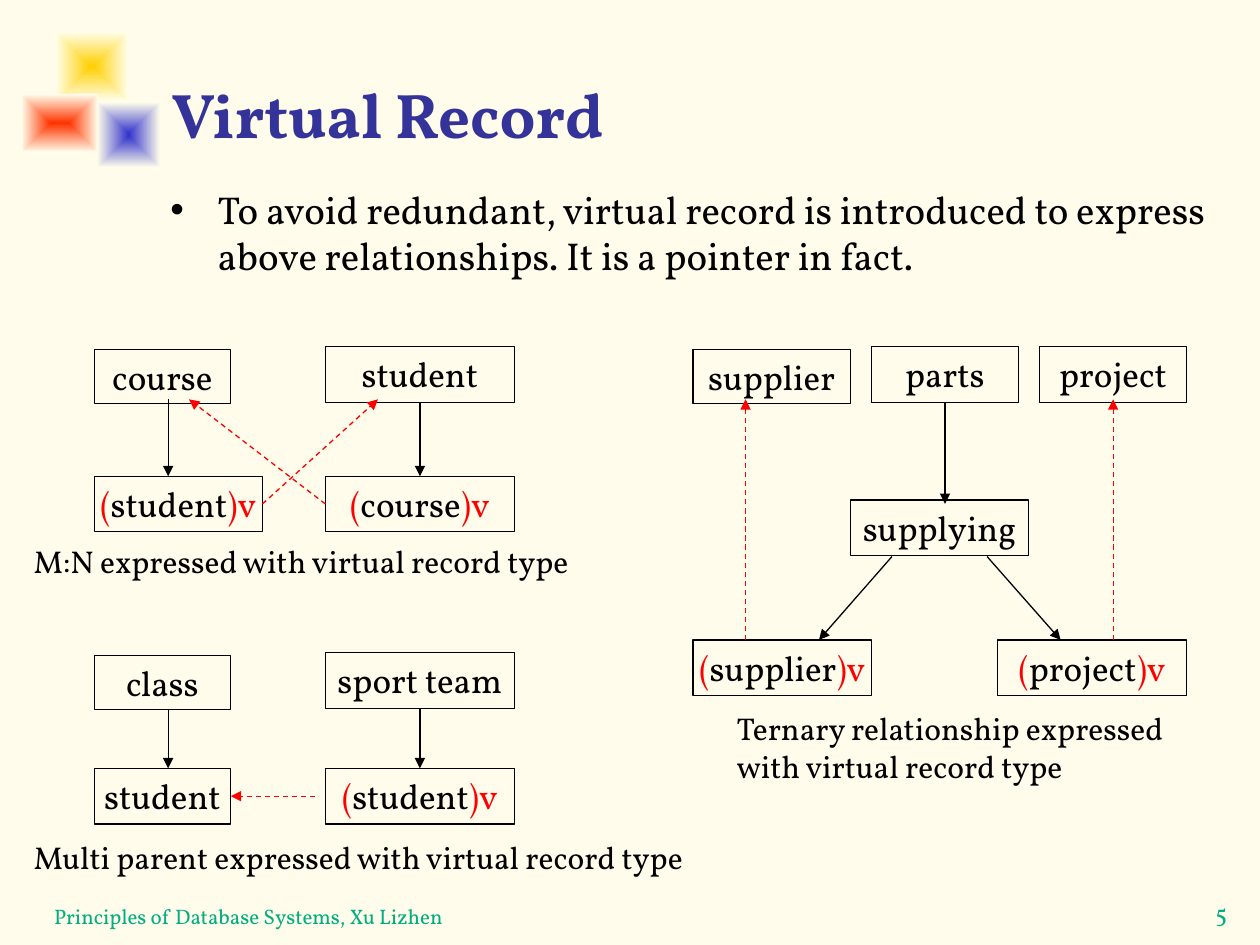
from lxml.etree import SubElement
from pptx import Presentation
from pptx.dml.color import RGBColor
from pptx.enum.dml import MSO_LINE
from pptx.enum.shapes import MSO_CONNECTOR, MSO_SHAPE
from pptx.enum.text import MSO_ANCHOR as Anchor, MSO_AUTO_SIZE, PP_ALIGN as Align
from pptx.oxml.ns import qn
from pptx.util import Cm, Pt

COLORS = {
    "paper": "FFFCEB", "fade": "FFFEEB", "yellow": "FFCF01", "blue": "3333CC",
    "orange": "FF3300", "title": "333399", "green": "00AE80",
    "black": "000000", "red": "FF0000",
}
FONT = "Vollkorn"
TOP, LEFT, BOTTOM, RIGHT = 0, 1, 2, 3


def color(name):
    return RGBColor.from_string(COLORS[name])


class SlideBuilder:
    def __init__(self, presentation):
        self.slide = presentation.slides.add_slide(presentation.slide_layouts[1])
        background = self.slide.background.fill
        background.solid()
        background.fore_color.rgb = color("paper")

    def style_run(self, run, size, name, bold=False):
        run.font.name = FONT
        run.font.size = Pt(size)
        run.font.bold = bold
        run.font.color.rgb = color(name)

    def place(self, shape, left, top, width, height):
        shape.left, shape.top = Cm(left), Cm(top)
        shape.width, shape.height = Cm(width), Cm(height)

    def set_text(self, shape, text, size, name, align=Align.LEFT, anchor=Anchor.TOP, bold=False):
        frame = shape.text_frame
        frame.text = text
        frame.word_wrap = True
        frame.auto_size = MSO_AUTO_SIZE.NONE
        frame.vertical_anchor = anchor
        paragraph = frame.paragraphs[0]
        paragraph.alignment = align
        paragraph.space_before = Pt(0)
        self.style_run(paragraph.runs[0], size, name, bold)

    def title(self, text, *box):
        shape = self.slide.shapes.title
        self.place(shape, *box)
        self.set_text(shape, text, 36, "title", anchor=Anchor.BOTTOM, bold=True)

    def body(self, text, *box):
        shape = self.slide.placeholders[1]
        self.place(shape, *box)
        properties = shape.text_frame.paragraphs[0]._p.get_or_add_pPr()
        indent = Cm(0.96)
        properties.set("marL", str(indent))
        properties.set("indent", str(-indent))
        bullet_color = SubElement(properties, qn("a:buClr"))
        SubElement(bullet_color, qn("a:srgbClr"), val=COLORS["blue"])
        SubElement(properties, qn("a:buSzPct"), val="60000")
        SubElement(properties, qn("a:buChar"), char="■")
        self.set_text(shape, text, 22.2, "black")

    def label(self, text, box, size=18, name="black", **options):
        shape = self.slide.shapes.add_textbox(*map(Cm, box))
        self.set_text(shape, text, size, name, **options)

    def rectangle(self, box):
        shape = self.slide.shapes.add_shape(MSO_SHAPE.RECTANGLE, *map(Cm, box))
        shape.shadow.inherit = False
        return shape

    def glow(self, name, *box):
        shape = self.rectangle(box)
        shape.line.fill.background()
        shape.fill.gradient()
        for stop, stop_color in zip(shape.fill.gradient_stops, (name, "fade")):
            stop.color.rgb = color(stop_color)
        gradient = shape._element.spPr.find(qn("a:gradFill"))
        gradient.remove(gradient.find(qn("a:lin")))
        shading = SubElement(gradient, qn("a:path"), {"path": "rect"})
        SubElement(shading, qn("a:fillToRect"), l="50000", t="50000", r="50000", b="50000")

    def record(self, text, left, top, width, height=1.12, virtual=False):
        shape = self.rectangle((left, top, width, height))
        shape.fill.background()
        shape.line.color.rgb = color("black")
        shape.line.width = Pt(0.75)
        frame = shape.text_frame
        frame.margin_left = frame.margin_right = Cm(0.05)
        if not virtual:
            self.set_text(shape, text, 20, "black", Align.CENTER)
            return shape
        self.set_text(shape, "(", 20, "red", Align.CENTER)
        for part, name in ((text, "black"), (")v", "red")):
            run = frame.paragraphs[0].add_run()
            run.text = part
            self.style_run(run, 20, name)
        return shape

    def arrow(self, start, end, pointer=False, begin=None, finish=None):
        connector = self.slide.shapes.add_connector(
            MSO_CONNECTOR.STRAIGHT, *map(Cm, start + end))
        if begin:
            connector.begin_connect(*begin)
        if finish:
            connector.end_connect(*finish)
        connector.line.color.rgb = color("red" if pointer else "black")
        connector.line.width = Pt(0.75)
        if pointer:
            connector.line.dash_style = MSO_LINE.DASH
        properties = connector._element.spPr
        SubElement(properties.find(qn("a:ln")), qn("a:tailEnd"), type="triangle")
        SubElement(properties, qn("a:effectLst"))


def draw_many_to_many(builder):
    builder.label("M:N expressed with virtual record type", (0.43, 10.8, 11.86, 1.78))
    builder.record("course", 1.9, 7.04, 2.75, 1.09)
    student = builder.record("student", 6.56, 6.99, 3.81)
    virtual_student = builder.record("student", 1.9, 9.6, 3.39, virtual=True)
    virtual_course = builder.record("course", 6.56, 9.6, 3.81, virtual=True)
    builder.arrow((3.39, 8.05), (3.39, 9.6))
    builder.arrow((8.46, 8.11), (8.46, 9.6),
                  begin=(student, BOTTOM), finish=(virtual_course, TOP))
    builder.arrow((6.56, 10.16), (3.81, 8.05), True, begin=(virtual_course, LEFT))
    builder.arrow((5.29, 10.16), (7.62, 8.05), True, begin=(virtual_student, RIGHT))


def draw_multi_parent(builder):
    builder.label("Multi parent expressed with virtual record type", (0.43, 16.76, 13.97, 1.78))
    builder.record("class", 1.9, 13.21, 2.75, 1.09)
    team = builder.record("sport team", 6.56, 13.16, 3.81)
    student = builder.record("student", 1.9, 15.49, 2.75)
    virtual_student = builder.record("student", 6.56, 15.49, 3.81, virtual=True)
    builder.arrow((3.39, 14.3), (3.39, 15.49))
    builder.arrow((8.46, 14.28), (8.46, 15.49),
                  begin=(team, BOTTOM), finish=(virtual_student, TOP))
    builder.arrow((6.35, 16.05), (4.65, 16.05), True, finish=(student, RIGHT))


def draw_ternary(builder):
    builder.label("Ternary relationship expressed with virtual record type",
                  (14.6, 14.17, 10.16, 1.78))
    builder.record("supplier", 13.97, 7.04, 3.17, 1.09)
    parts = builder.record("parts", 17.57, 6.99, 2.96)
    builder.record("project", 20.96, 6.99, 2.96)
    builder.record("supplying", 17.14, 10.08, 3.6)
    builder.record("supplier", 13.97, 12.9, 3.6, virtual=True)
    builder.record("project", 20.11, 12.9, 3.81, virtual=True)
    builder.arrow((19.05, 8.11), (19.05, 10.16), begin=(parts, BOTTOM))
    builder.arrow((17.98, 11.22), (16.51, 12.9))
    builder.arrow((19.9, 11.22), (21.38, 12.9))
    for left in (15.03, 22.44):
        builder.arrow((left, 12.9), (left, 8.05), True)


def main():
    presentation = Presentation()
    presentation.slide_width, presentation.slide_height = Cm(25.4), Cm(19.05)
    builder = SlideBuilder(presentation)
    builder.glow("yellow", 1.12, 0.64, 1.47, 1.4)
    builder.glow("blue", 1.96, 2.06, 1.27, 1.32)
    builder.glow("orange", 0.43, 1.9, 1.55, 1.17)
    builder.title("Virtual Record", 3.2, 0.43, 21.64, 2.74)
    builder.body("To avoid redundant, virtual record is introduced to express above "
                 "relationships. It is a pointer in fact.", 3.18, 3.61, 21.69, 2.74)
    draw_multi_parent(builder)
    draw_many_to_many(builder)
    draw_ternary(builder)
    builder.label("Principles of Database Systems, Xu Lizhen", (0.84, 17.58, 16.51, 1.27),
                  12, "green", anchor=Anchor.BOTTOM)
    builder.label("5", (23.11, 17.98, 3.02, 0.97), 14, "green", align=Align.CENTER)
    presentation.save("out.pptx")


if __name__ == "__main__":
    main()
